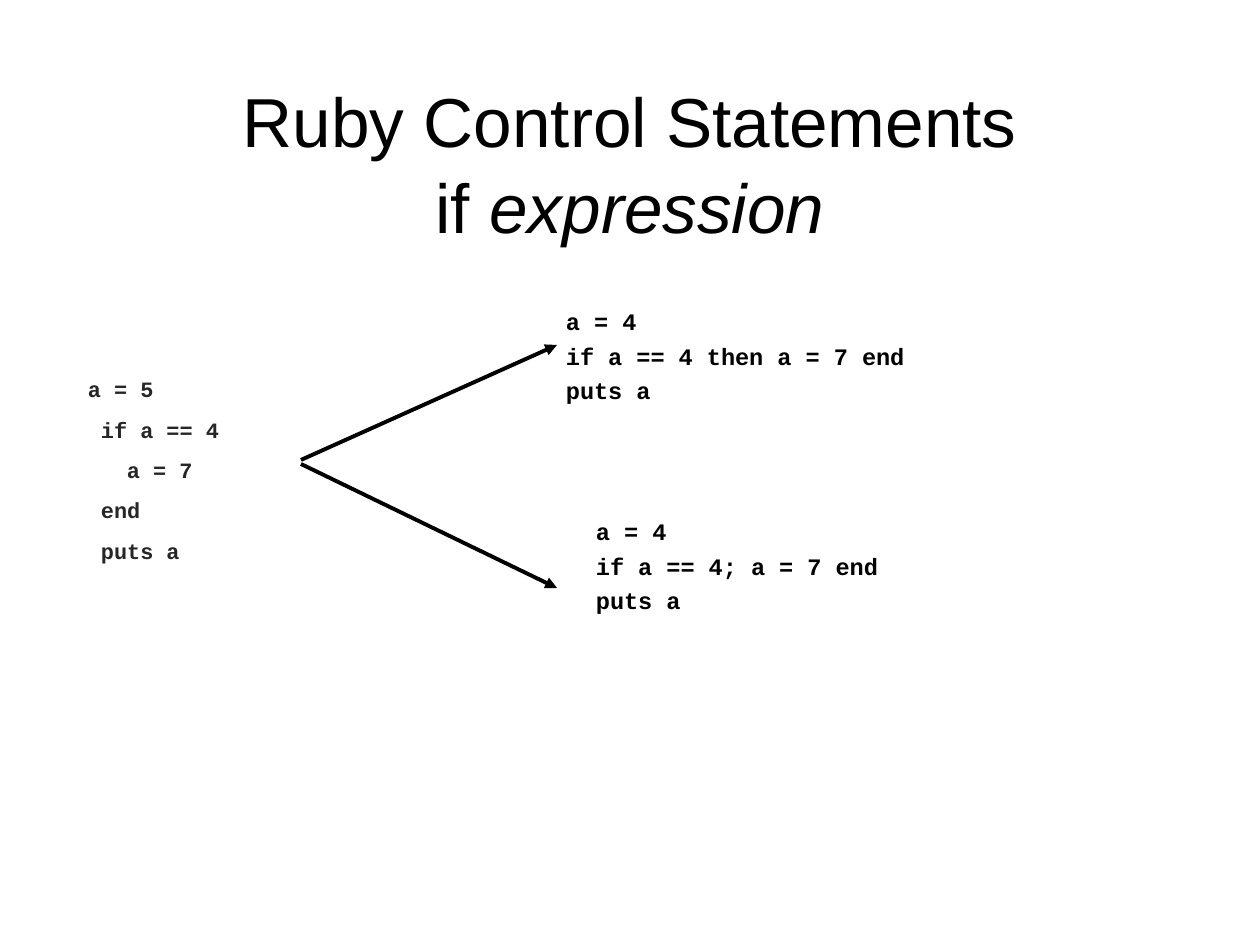
from lxml import etree
from pptx import Presentation
from pptx.dml.color import RGBColor
from pptx.enum.shapes import MSO_CONNECTOR
from pptx.enum.text import MSO_ANCHOR, MSO_AUTO_SIZE, PP_ALIGN
from pptx.oxml.ns import qn
from pptx.util import Pt

EMU_PER_PX = 914400 // 126
STRAIGHT = MSO_CONNECTOR.STRAIGHT
MIDDLE = MSO_ANCHOR.MIDDLE
NO_AUTOFIT = MSO_AUTO_SIZE.NONE
CENTER = PP_ALIGN.CENTER
TITLE_ONLY = 5
BLACK = "000000"
CHARCOAL = "262626"


def px(length):
    return length * EMU_PER_PX


def color(value):
    return RGBColor.from_string(value)


def place(shape, left, top, width, height):
    shape.left, shape.top = px(left), px(top)
    shape.width, shape.height = px(width), px(height)


def add_run(paragraph, text, font_name, size, font_color, bold=False, italic=False):
    run = paragraph.add_run()
    run.text = text
    run.font.name = font_name
    run.font.size = Pt(size)
    run.font.color.rgb = color(font_color)
    run.font.bold = bold
    run.font.italic = italic


def set_title(slide):
    title = slide.shapes.title
    place(title, 63, 82, 1134, 158)
    frame = title.text_frame
    frame.auto_size = NO_AUTOFIT
    frame.vertical_anchor = MIDDLE
    paragraph = frame.paragraphs[0]
    paragraph.alignment = CENTER
    paragraph.line_spacing = 1.04
    add_run(paragraph, "Ruby Control Statements", "Arial", 39.6, BLACK)
    paragraph.add_line_break()
    add_run(paragraph, "if ", "Arial", 39.6, BLACK)
    add_run(paragraph, "expression", "Arial", 39.6, BLACK, italic=True)


def add_code(slide, box, insets, lines, size, font_color, line_spacing):
    shape = slide.shapes.add_textbox(0, 0, 0, 0)
    place(shape, *box)
    frame = shape.text_frame
    frame.word_wrap = True
    frame.margin_left = frame.margin_right = px(insets[0])
    frame.margin_top = frame.margin_bottom = px(insets[1])
    for index, (indent, text) in enumerate(lines):
        paragraph = frame.add_paragraph() if index else frame.paragraphs[0]
        paragraph.line_spacing = line_spacing
        paragraph.space_before = Pt(3.6)
        paragraph._p.get_or_add_pPr().set("marL", str(px(indent)))
        add_run(paragraph, text, "Courier New", size, font_color, bold=True)


def add_arrow(slide, start, end):
    connector = slide.shapes.add_connector(STRAIGHT, *map(px, start + end))
    connector.line.color.rgb = color(BLACK)
    connector.line.width = Pt(2.25)
    line = connector.line._get_or_add_ln()
    etree.SubElement(line, qn("a:tailEnd"), type="triangle")
    etree.SubElement(connector._element.spPr, qn("a:effectLst"))


def main():
    presentation = Presentation()
    presentation.slide_width = px(1260)
    presentation.slide_height = px(945)
    slide = presentation.slides.add_slide(presentation.slide_layouts[TITLE_ONLY])
    set_title(slide)

    block_form = [(0, "a = 5"), (13, "if a == 4"), (39, "a = 7"),
                  (13, "end"), (13, "puts a")]
    add_code(slide, (76, 362, 226, 198), (12, 6), block_form, 12.5, CHARCOAL, 1.3)

    one_line_forms = [
        (557, 302, "if a == 4 then a = 7 end"),
        (587, 512, "if a == 4; a = 7 end"),
    ]
    for left, top, statement in one_line_forms:
        lines = [(0, "a = 4"), (0, statement), (0, "puts a")]
        add_code(slide, (left, top, 437, 130), (9, 5), lines, 13.5, BLACK, 1.0)

    add_arrow(slide, (301, 460), (557, 345))
    add_arrow(slide, (301, 464), (557, 588))
    presentation.save("out.pptx")


if __name__ == "__main__":
    main()
